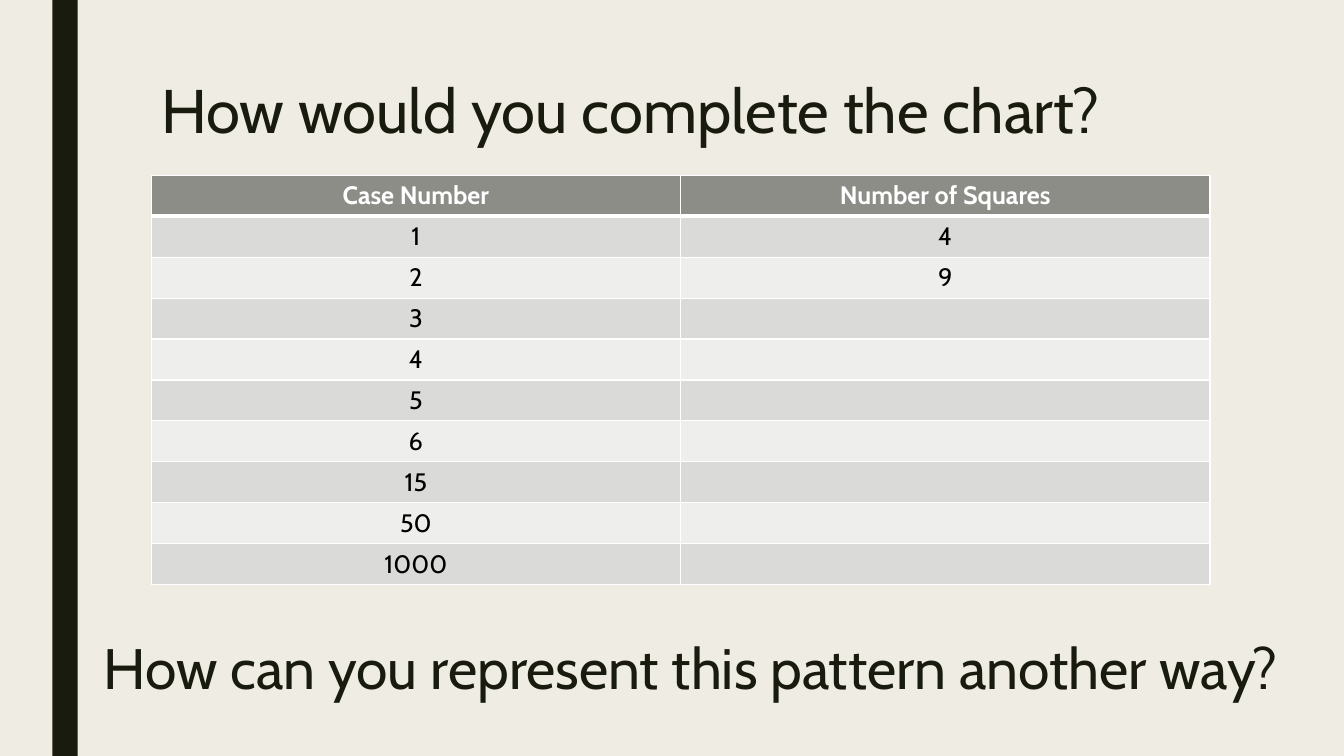
"""Builds a slide with a case-number table to complete and two questions."""
from dataclasses import dataclass

import lxml.etree
import pptx
import pptx.dml.color
import pptx.enum.shapes
import pptx.enum.text
import pptx.oxml.ns
import pptx.util

EMU_PER_PX = 9144


@dataclass(frozen=True)
class Theme:
    font: str = "Cabin"
    background: str = "EFEDE3"
    ink: str = "191B0E"
    header: str = "8C8D86"
    bands: tuple[str, str] = ("DADBD9", "EEEEED")
    white: str = "FFFFFF"
    black: str = "000000"
    title_size: float = 44
    question_size: float = 40.7
    cell_size: float = 18
    border: int = 1
    header_border: int = 3


@dataclass(frozen=True)
class Box:
    left: int
    top: int
    width: int
    height: int

    def emu(self) -> tuple[int, ...]:
        return tuple(px(n) for n in (self.left, self.top, self.width, self.height))


@dataclass(frozen=True)
class Question:
    text: str
    box: Box
    size: float


THEME = Theme()
SIDE_BAR = Box(52, 0, 25, 750)
TABLE_BOX = Box(150, 174, 1050, 406)
QUESTIONS = (
    Question("How would you complete the chart?", Box(150, 75, 1050, 162), THEME.title_size),
    Question("How can you represent this pattern another way?", Box(93, 631, 1211, 105),
             THEME.question_size),
)
ROWS = (
    ("Case Number", "Number of Squares"),
    ("1", "4"),
    ("2", "9"),
    *((case, "") for case in ("3", "4", "5", "6", "15", "50", "1000")),
)


def px(n: int) -> int:
    return n * EMU_PER_PX


def rgb(color: str) -> pptx.dml.color.RGBColor:
    return pptx.dml.color.RGBColor.from_string(color)


def style_paragraph(p, size: float, color: str, bold: bool = False) -> None:
    p.font.name = THEME.font
    p.font.size = pptx.util.Pt(size)
    p.font.bold = bold
    p.font.color.rgb = rgb(color)


def add_side_bar(slide, box: Box) -> None:
    sp = slide.shapes.add_shape(pptx.enum.shapes.MSO_SHAPE.RECTANGLE, *box.emu())
    sp.shadow.inherit = False
    sp.fill.solid()
    sp.fill.fore_color.rgb = rgb(THEME.ink)
    sp.line.fill.background()


def add_question(slide, question: Question) -> None:
    tf = slide.shapes.add_textbox(*question.box.emu()).text_frame
    tf.word_wrap = True
    p = tf.paragraphs[0]
    p.text = question.text
    p.line_spacing = 0.89
    style_paragraph(p, question.size, THEME.ink)


def set_borders(cell, top: int, bottom: int) -> None:
    qn = pptx.oxml.ns.qn
    tc_pr = cell._tc.get_or_add_tcPr()
    widths = {"a:lnL": THEME.border, "a:lnR": THEME.border, "a:lnT": top, "a:lnB": bottom}
    for i, (tag, width) in enumerate(widths.items()):
        ln = lxml.etree.Element(qn(tag), w=str(pptx.util.Pt(width)))
        fill = lxml.etree.SubElement(ln, qn("a:solidFill"))
        lxml.etree.SubElement(fill, qn("a:srgbClr"), val=THEME.white)
        tc_pr.insert(i, ln)


def fill_cell(cell, text: str, row: int) -> None:
    is_header = row == 0
    cell.vertical_anchor = pptx.enum.text.MSO_ANCHOR.TOP
    cell.fill.solid()
    cell.fill.fore_color.rgb = rgb(THEME.header if is_header else THEME.bands[(row - 1) % 2])
    set_borders(cell,
                top=THEME.header_border if row == 1 else THEME.border,
                bottom=THEME.header_border if is_header else THEME.border)
    p = cell.text_frame.paragraphs[0]
    if text:
        p.text = text
    p.alignment = pptx.enum.text.PP_ALIGN.CENTER
    style_paragraph(p, THEME.cell_size, THEME.white if is_header else THEME.black, is_header)


def add_case_table(slide, box: Box) -> None:
    table = slide.shapes.add_table(len(ROWS), len(ROWS[0]), *box.emu()).table
    table.horz_banding = False
    for r, values in enumerate(ROWS):
        for c, text in enumerate(values):
            fill_cell(table.cell(r, c), text, r)


def main() -> None:
    prs = pptx.Presentation()
    prs.slide_width, prs.slide_height = px(1333), px(750)
    slide = prs.slides.add_slide(prs.slide_layouts[6])
    slide.background.fill.solid()
    slide.background.fill.fore_color.rgb = rgb(THEME.background)
    add_side_bar(slide, SIDE_BAR)
    add_case_table(slide, TABLE_BOX)
    for question in QUESTIONS:
        add_question(slide, question)
    prs.save("out.pptx")


if __name__ == "__main__":
    main()
